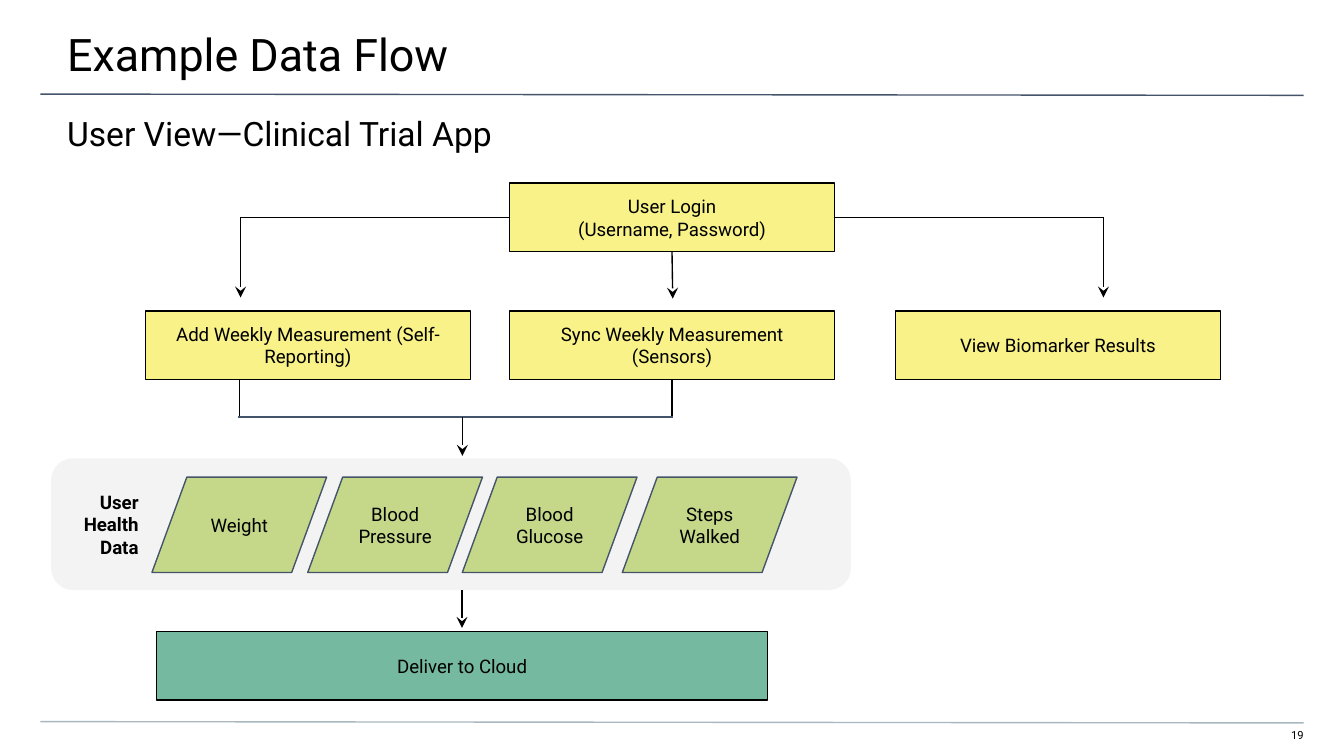
import pptx
import pptx.dml.color
import pptx.enum.shapes
import pptx.enum.text
import pptx.oxml.ns
import pptx.util
from lxml import etree

Pt = pptx.util.Pt
SHAPE = pptx.enum.shapes.MSO_SHAPE
ALIGN = pptx.enum.text.PP_ALIGN
ANCHOR = pptx.enum.text.MSO_ANCHOR
qn = pptx.oxml.ns.qn

COLORS = {
    "ink": "000000",
    "slate": "44546A",
    "footer": "A9B7C0",
    "panel": "F3F3F3",
    "step": "F7EF6A",
    "data": "AFCA54",
    "cloud": "4FA786",
}
FONT = "Roboto"
STEP_WIDTH, STEP_HEIGHT = 174.24, 36.72


def rgb(name):
    return pptx.dml.color.RGBColor.from_string(COLORS[name])


def write(shape, lines, size, align=ALIGN.LEFT, anchor=ANCHOR.TOP,
          insets=(7.2, 7.2, 7.2, 7.2), bold=False):
    """Fill a shape with paragraphs; insets are left, top, right, bottom."""
    frame = shape.text_frame
    frame.word_wrap = True
    frame.auto_size = pptx.enum.text.MSO_AUTO_SIZE.NONE
    frame.vertical_anchor = anchor
    (frame.margin_left, frame.margin_top,
     frame.margin_right, frame.margin_bottom) = map(Pt, insets)
    frame.text = "\n".join(lines)
    for para in frame.paragraphs:
        para.alignment = align
        para.font.name = FONT
        para.font.size = Pt(size)
        para.font.bold = bold
        para.font.color.rgb = rgb("ink")


def add_text(page, box, lines, size, **style):
    shape = page.shapes.add_textbox(*map(Pt, box))
    write(shape, lines, size, **style)


def add_node(page, kind, box, fill, opacity=100, outline="ink", lines=()):
    """Add a filled flow shape, with opacity in percent."""
    shape = page.shapes.add_shape(kind, *map(Pt, box))
    shape.shadow.inherit = False
    shape.fill.solid()
    shape.fill.fore_color.rgb = rgb(fill)
    if opacity < 100:
        color = shape.fill._xPr.find(qn("a:solidFill"))[0]
        etree.SubElement(color, qn("a:alpha"), val=str(opacity * 1000))
    if outline:
        shape.line.color.rgb = rgb(outline)
        shape.line.width = Pt(0.75)
    else:
        shape.line.fill.background()
    if lines:
        write(shape, lines, 10, ALIGN.CENTER, ANCHOR.MIDDLE)
    return shape


def add_line(page, start, end, color="ink", arrow=False, source=None):
    """Add a straight line; source is an optional (shape, side) to join."""
    line = page.shapes.add_connector(
        pptx.enum.shapes.MSO_CONNECTOR.STRAIGHT, *map(Pt, (*start, *end)))
    line.line.color.rgb = rgb(color)
    line.line.width = Pt(0.75)
    if arrow:
        etree.SubElement(line.line._get_or_add_ln(), qn("a:tailEnd"), type="stealth")
    etree.SubElement(line._element.spPr, qn("a:effectLst"))
    if source:
        line.begin_connect(*source)


def add_header(page, left, top, width):
    title = page.shapes.title
    title.left, title.top, title.width, title.height = map(
        Pt, (left, top, width, 42))
    write(title, ["Example Data Flow"], 24, insets=(36, 14.4, 21.6, 7.2))
    add_line(page, (left + 21.6, top + 50.4), (left + width - 21.6, top + 51.1), "slate")
    add_text(page, (left, top + 53.3, width, 28.8),
             ["User View—Clinical Trial App"], 18, insets=(36, 7.2, 36, 0))


def add_footer(page, left, top, width):
    add_line(page, (left, top), (left + width, top + 0.7), "footer")
    add_text(page, (left + width - 21, top + 3.6, 21, 8.6), ["19"], 6,
             align=ALIGN.RIGHT, insets=(0, 0, 0, 7.2))


def add_steps(page, left, top):
    """Add the login, its three branches and the lines that join them."""
    def add_step(x, y, *lines):
        return add_node(page, SHAPE.RECTANGLE,
                        (left + x, top + y, STEP_WIDTH, STEP_HEIGHT),
                        "step", 79, lines=lines)

    login_x, branch_y = 195.1, 68.5
    login = add_step(login_x, 0, "User Login", "(Username, Password)")
    add_step(0, branch_y, "Add Weekly Measurement (Self-Reporting)")
    sync = add_step(login_x, branch_y, "Sync Weekly Measurement (Sensors)")
    add_step(401.8, branch_y, "View Biomarker Results")

    center = left + login_x + STEP_WIDTH / 2
    middle = top + STEP_HEIGHT / 2
    arrow_end = top + 61.3
    for side, direction in ((1, -1), (3, 1)):
        edge = center + direction * STEP_WIDTH / 2
        corner = edge + direction * 144
        add_line(page, (edge, middle), (corner, middle), source=(login, side))
        add_line(page, (corner, middle), (corner, arrow_end), arrow=True)
    add_line(page, (center, top + STEP_HEIGHT), (center + 0.4, arrow_end + 0.6),
             arrow=True, source=(login, 2))

    bottom = top + branch_y + STEP_HEIGHT
    merge = bottom + 20.1
    add_line(page, (center, bottom), (center, merge), source=(sync, 2))
    add_line(page, (center - 231.8, bottom), (center - 231.8, merge))
    add_line(page, (center + 0.4, merge), (center - 232.4, merge), "slate")
    add_line(page, (center - 112.3, merge), (center - 112.3, merge + 20.8), arrow=True)


def add_health_data(page, left, top, width, height):
    add_node(page, SHAPE.ROUNDED_RECTANGLE, (left, top, width, height),
             "panel", outline=None)
    row = top + 10.1
    add_text(page, (left - 5.1, row, 59, 51.1), ["User Health Data"], 10,
             align=ALIGN.RIGHT, bold=True)
    measures = ((54, "Weight"), (137.5, "Blood Pressure"),
                (220.3, "Blood Glucose"), (306, "Steps Walked"))
    for x, label in measures:
        add_node(page, SHAPE.FLOWCHART_DATA, (left + x, row, 93.6, 51.1),
                 "data", 67, "slate", [label])


def add_delivery(page, left, top, width):
    add_node(page, SHAPE.RECTANGLE, (left, top, width, STEP_HEIGHT),
             "cloud", 78, lines=["Deliver to Cloud"])
    center = left + width / 2
    add_line(page, (center, top - 22.3), (center, top - 2), arrow=True)


def main():
    deck = pptx.Presentation()
    deck.slide_width, deck.slide_height = Pt(720), Pt(405)
    page = deck.slides.add_slide(deck.slide_layouts.get_by_name("Title Only"))
    add_header(page, 0, 0, 720)
    add_steps(page, 77.8, 98.1)
    add_health_data(page, 27.4, 245.5, 428.4, 70.6)
    add_delivery(page, 83.7, 338.4, 327.6)
    add_footer(page, 21.6, 386.6, 676.8)
    deck.save("out.pptx")


if __name__ == "__main__":
    main()
